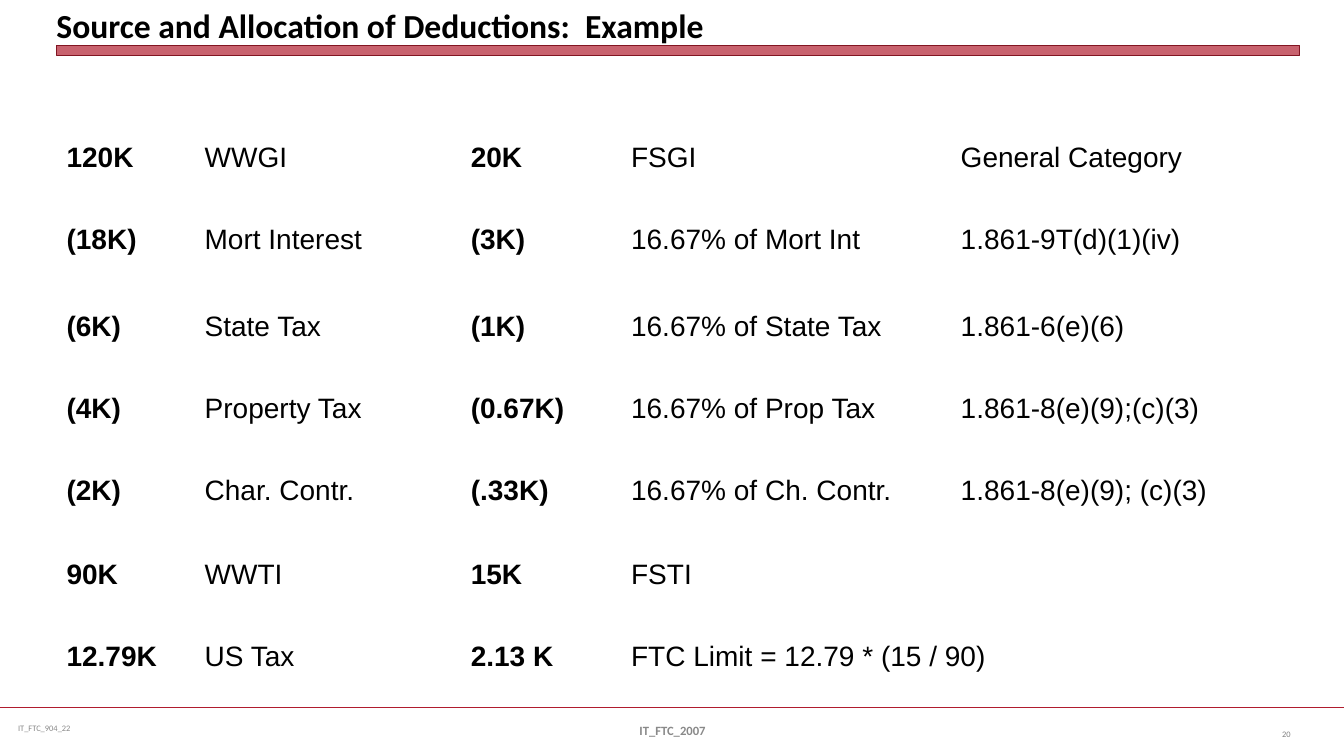
from dataclasses import dataclass

from lxml.etree import SubElement
from pptx import Presentation
from pptx.dml.color import RGBColor
from pptx.enum.shapes import MSO_CONNECTOR, MSO_SHAPE
from pptx.enum.text import MSO_ANCHOR, PP_ALIGN
from pptx.oxml.ns import qn
from pptx.slide import Slide
from pptx.text.text import Font
from pptx.util import Inches, Pt

RED, DARK_RED, BLACK = "B01C2E", "821522", "000000"
SLIDE_WIDTH = 13.33
MARGIN = 0.56


@dataclass
class Label:
    text: str
    left: float
    top: float
    width: float
    size: float
    color: str
    bold: bool = False
    align: PP_ALIGN = PP_ALIGN.LEFT
    anchor: MSO_ANCHOR = MSO_ANCHOR.MIDDLE
    inset_x: float = 0.1
    inset_y: float = 0.05


LABELS = [
    Label("Source and Allocation of Deductions:  Example", MARGIN, 0.05, 12.33, 24, BLACK,
          bold=True, anchor=MSO_ANCHOR.BOTTOM, inset_x=0, inset_y=0),
    Label("IT_FTC_904_22", 0.11, 7.02, 3.44, 6, "898989", inset_x=0.07, inset_y=0.04),
    Label("IT_FTC_2007", 4.56, 7.05, 4.22, 9, "898989", bold=True, align=PP_ALIGN.CENTER),
    Label("20", 12.23, 7.08, 0.67, 6, "808080", align=PP_ALIGN.RIGHT),
]

COLUMN_WIDTHS = [1.37, 2.64, 1.59, 3.27, 3.27]
ROW_HEIGHTS = [0.81, 0.81, 0.87, 0.81, 0.81, 0.84, 0.81]
AMOUNT_COLUMNS = (0, 2)
DEDUCTIONS = [
    ["120K", "WWGI", "20K", "FSGI", "General Category"],
    ["(18K)", "Mort Interest", "(3K)", "16.67% of Mort Int", "1.861-9T(d)(1)(iv)"],
    ["(6K)", "State Tax", "(1K)", "16.67% of State Tax", "1.861-6(e)(6)"],
    ["(4K)", "Property Tax", "(0.67K)", "16.67% of Prop Tax", "1.861-8(e)(9);(c)(3)"],
    ["(2K)", "Char. Contr.", "(.33K)", "16.67% of Ch. Contr.", "1.861-8(e)(9); (c)(3)"],
    ["90K", "WWTI", "15K", "FSTI", ""],
    ["12.79K", "US Tax", "2.13 K", "FTC Limit = 12.79 * (15 / 90)", ""],
]


def rgb(color: str) -> RGBColor:
    return RGBColor.from_string(color)


def style_font(font: Font, name: str, size: float, color: str, bold: bool) -> None:
    font.name = name
    font.size = Pt(size)
    font.bold = bold
    font.color.rgb = rgb(color)


def add_label(page: Slide, label: Label) -> None:
    box = page.shapes.add_textbox(
        Inches(label.left), Inches(label.top), Inches(label.width), Inches(0.4))
    frame = box.text_frame
    frame.text = label.text
    frame.word_wrap = True
    frame.vertical_anchor = label.anchor
    frame.margin_left = frame.margin_right = Inches(label.inset_x)
    frame.margin_top = frame.margin_bottom = Inches(label.inset_y)
    para = frame.paragraphs[0]
    para.alignment = label.align
    style_font(para.runs[0].font, "Calibri", label.size, label.color, label.bold)


def add_title_bar(page: Slide) -> None:
    bar = page.shapes.add_shape(
        MSO_SHAPE.RECTANGLE, Inches(MARGIN), Inches(0.45), Inches(12.33), Inches(0.1))
    bar.shadow.inherit = False
    bar.fill.solid()
    bar.fill.fore_color.rgb = rgb(RED)
    fill_color = bar.fill._xPr.find(qn("a:solidFill"))[0]
    SubElement(fill_color, qn("a:alpha"), val="69000")
    bar.line.color.rgb = rgb(DARK_RED)
    bar.line.width = Pt(0)


def add_footer_rule(page: Slide) -> None:
    rule = page.shapes.add_connector(
        MSO_CONNECTOR.STRAIGHT, Inches(0), Inches(7.02), Inches(SLIDE_WIDTH), Inches(7.02))
    rule.line.color.rgb = rgb(RED)
    rule.line.width = Pt(1.25)
    SubElement(rule._element.spPr, qn("a:effectLst"))


def add_deduction_table(page: Slide) -> None:
    table = page.shapes.add_table(
        len(ROW_HEIGHTS), len(COLUMN_WIDTHS), Inches(MARGIN), Inches(0.96),
        Inches(sum(COLUMN_WIDTHS)), Inches(sum(ROW_HEIGHTS))).table
    table.first_row = table.horz_banding = False
    for column, width in zip(table.columns, COLUMN_WIDTHS):
        column.width = Inches(width)
    for row, height in zip(table.rows, ROW_HEIGHTS):
        row.height = Inches(height)
    # The limit formula spans the last two columns
    table.cell(6, 3).merge(table.cell(6, 4))
    for row_index, texts in enumerate(DEDUCTIONS):
        for column_index, text in enumerate(texts):
            cell = table.cell(row_index, column_index)
            cell.fill.background()
            cell.vertical_anchor = MSO_ANCHOR.BOTTOM
            if text:
                cell.text_frame.text = text
                span = cell.text_frame.paragraphs[0].runs[0]
                style_font(span.font, "Arial", 20, BLACK, column_index in AMOUNT_COLUMNS)


def main() -> None:
    deck = Presentation()
    deck.slide_width = Inches(SLIDE_WIDTH)
    deck.slide_height = Inches(7.5)
    page = deck.slides.add_slide(deck.slide_layouts[6])

    # Frame of the page
    add_footer_rule(page)
    add_title_bar(page)

    # Title and footer texts
    for label in LABELS:
        add_label(page, label)

    # Worldwide and foreign-source amounts
    add_deduction_table(page)

    deck.save("out.pptx")


if __name__ == "__main__":
    main()
